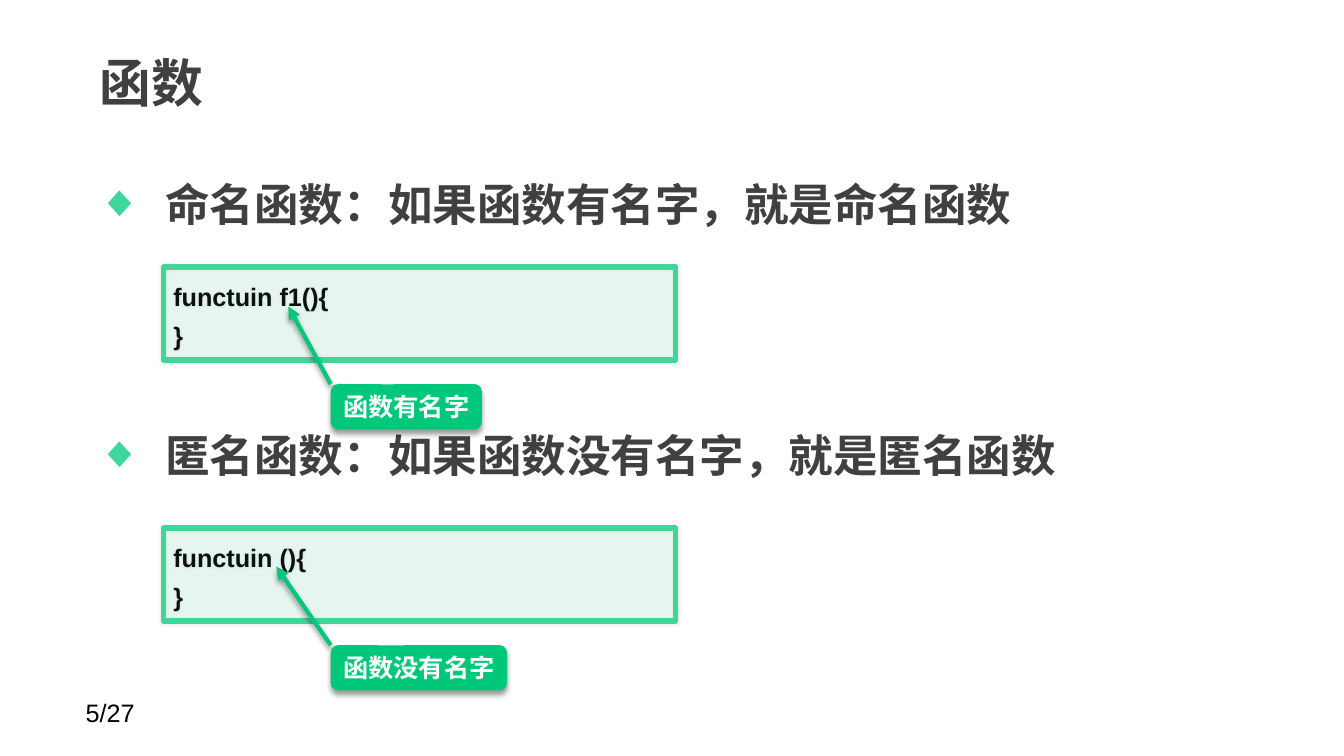
from lxml.etree import SubElement
from pptx import Presentation
from pptx.dml.color import RGBColor
from pptx.enum.dml import MSO_THEME_COLOR
from pptx.enum.shapes import MSO_CONNECTOR as Connector, MSO_SHAPE as Shape
from pptx.enum.text import MSO_ANCHOR as Anchor, MSO_AUTO_SIZE as AutoSize, PP_ALIGN as Align
from pptx.oxml.ns import qn
from pptx.util import Inches, Pt

WIDTH, HEIGHT = 13.33, 7.5
LATIN, CJK = "Arial", "Noto Sans CJK SC"
GREEN, MINT, PALE, DARK, INK = "00C77A", "40D59B", "A6EBD1", "404040", "0C1110"
TOPICS = ["命名函数：如果函数有名字，就是命名函数", "匿名函数：如果函数没有名字，就是匿名函数"]
EXAMPLES = [
    (2.65, "functuin f1(){", "函数有名字", 1.5, (1.24, 0.39)),
    (5.24, "functuin (){", "函数没有名字", 1.75, (1.12, 0.38)),
]


def color(value):
    """Turn a hex string into a colour."""
    return RGBColor.from_string(value)


def place(shape, left, top, width, height):
    """Move and size a shape, in inches."""
    shape.left, shape.top = Inches(left), Inches(top)
    shape.width, shape.height = Inches(width), Inches(height)


def style(para, size, ink, name=LATIN, bold=True):
    """Set the font of a paragraph for Latin and Chinese text."""
    font = para.font
    font.name, font.size, font.bold = name, Pt(size), bold
    font.color.rgb = color(ink)
    defaults = para._p.get_or_add_pPr().find(qn("a:defRPr"))
    SubElement(defaults, qn("a:ea"), typeface=CJK)


def set_insets(frame):
    """Give a placeholder frame its margins and keep its text size."""
    frame.auto_size = AutoSize.NONE
    frame.word_wrap = True
    frame.margin_left = frame.margin_right = Inches(0.13)
    frame.margin_top = frame.margin_bottom = Inches(0.06)


def add_shadow(shape, opacity, blur, distance):
    """Put a soft black shadow below a shape or connector."""
    effects = SubElement(shape._element.spPr, qn("a:effectLst"))
    shadow = SubElement(effects, qn("a:outerShdw"), blurRad=str(Pt(blur)),
                        dist=str(Pt(distance)), dir="5400000", algn="ctr", rotWithShape="0")
    black = SubElement(shadow, qn("a:srgbClr"), val="000000")
    SubElement(black, qn("a:alpha"), val=str(opacity * 1000))


def add_bullet(para):
    """Give a paragraph a hanging diamond bullet."""
    props = para._p.get_or_add_pPr()
    props.set("marL", str(Inches(0.67)))
    props.set("indent", str(-Inches(0.67)))
    tint = props.makeelement(qn("a:buClr"), {})
    SubElement(tint, qn("a:srgbClr"), val=MINT)
    mark = props.makeelement(qn("a:buChar"), {"char": "◆"})
    defaults = props.find(qn("a:defRPr"))
    defaults.addprevious(tint)
    defaults.addprevious(mark)


def fill_title(title, text):
    """Write the slide title."""
    place(title, 0.86, 0.3, 10.41, 1.03)
    frame = title.text_frame
    set_insets(frame)
    frame.vertical_anchor = Anchor.MIDDLE
    frame.text = text
    para = frame.paragraphs[0]
    para.alignment = Align.LEFT
    style(para, 37, DARK, CJK)


def fill_topics(body, topics):
    """Write the bulleted topics, with room for an example after each."""
    place(body, 0.84, 1.43, 11.69, 5.27)
    frame = body.text_frame
    set_insets(frame)
    frame.vertical_anchor = Anchor.TOP
    frame.text = "\n".join(topics)
    for para, gap in zip(frame.paragraphs, (6, 122)):
        para.line_spacing, para.space_before = 1.5, Pt(gap)
        style(para, 31.8, DARK, CJK)
        add_bullet(para)


def add_code(page, left, top, lines):
    """Draw a framed code sample."""
    box = page.shapes.add_shape(Shape.ROUNDED_RECTANGLE, Inches(left), Inches(top),
                                Inches(5.08), Inches(0.92))
    box.adjustments[0] = 0
    box.fill.solid()
    box.fill.fore_color.rgb = color(PALE)
    tint = box._element.spPr.find(qn("a:solidFill")).find(qn("a:srgbClr"))
    SubElement(tint, qn("a:alpha"), val="22000")
    box.line.color.rgb, box.line.width = color(MINT), Pt(4)
    add_shadow(box, 10, 3, 0)
    frame = box.text_frame
    frame.vertical_anchor = Anchor.TOP
    frame.text = "\n".join(lines)
    for para in frame.paragraphs:
        para.alignment, para.line_spacing = Align.LEFT, 1.3
        style(para, 18, INK)


def add_arrow(page, start, end):
    """Draw a green arrow from a note to the code."""
    arrow = page.shapes.add_connector(Connector.STRAIGHT, *map(Inches, start + end))
    arrow.line.color.rgb, arrow.line.width = color(GREEN), Pt(3)
    SubElement(arrow.line._get_or_add_ln(), qn("a:tailEnd"), type="triangle")
    add_shadow(arrow, 40, 4, 3)


def add_note(page, left, top, width, text):
    """Draw a green callout with a short note."""
    note = page.shapes.add_shape(Shape.ROUNDED_RECTANGULAR_CALLOUT, Inches(left),
                                 Inches(top), Inches(width), Inches(0.45))
    note.adjustments[0], note.adjustments[1] = 0, -0.49
    note.fill.solid()
    note.fill.fore_color.rgb = color(GREEN)
    note.line.fill.background()
    add_shadow(note, 40, 4, 3)
    frame = note.text_frame
    frame.word_wrap, frame.vertical_anchor = False, Anchor.MIDDLE
    frame.text = text
    frame.paragraphs[0].alignment = Align.CENTER
    style(frame.paragraphs[0], 18, "FFFFFF")


def add_example(page, left, top, code, text, width, target):
    """Place code, arrow and note relative to the corner of the code box."""
    corner = (left + 1.66, top + 1.16)
    add_code(page, left, top, [code, "}"])
    add_arrow(page, corner, (left + target[0], top + target[1]))
    add_note(page, *corner, width, text)


def add_page_number(page, text):
    """Write the page count at the lower left."""
    box = page.shapes.add_textbox(Inches(0.75), Inches(6.87), Inches(2.33), Inches(0.4))
    box.text_frame.word_wrap = True
    box.text_frame.text = text
    style(box.text_frame.paragraphs[0], 18, "000000", bold=False)


def main():
    """Build the slide and save it."""
    deck = Presentation()
    deck.slide_width, deck.slide_height = Inches(WIDTH), Inches(HEIGHT)
    page = deck.slides.add_slide(deck.slide_layouts[1])
    page.background.fill.solid()
    page.background.fill.fore_color.theme_color = MSO_THEME_COLOR.BACKGROUND_1
    add_page_number(page, "5/27")
    fill_title(page.shapes.title, "函数")
    fill_topics(page.placeholders[1], TOPICS)
    for top, code, text, width, target in EXAMPLES:
        add_example(page, 1.62, top, code, text, width, target)
    deck.save("out.pptx")


if __name__ == "__main__":
    main()
